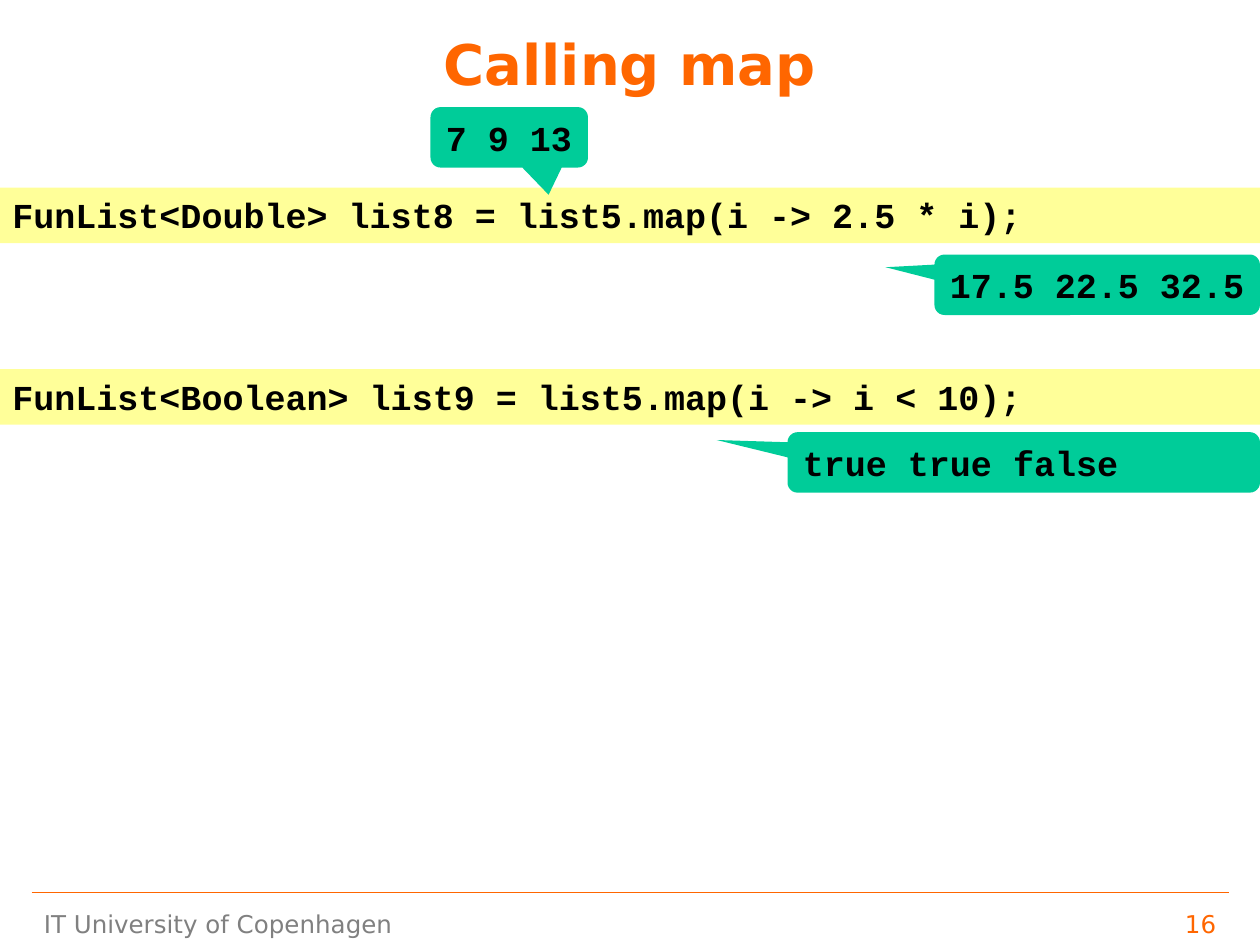
from lxml import etree
from pptx import Presentation
from pptx import util as u
from pptx.dml.color import RGBColor
from pptx.enum import shapes, text
from pptx.oxml.ns import qn

ORANGE = RGBColor(0xFF, 0x66, 0x00)
YELLOW = RGBColor(0xFF, 0xFF, 0x99)
GREEN = RGBColor(0x00, 0xCC, 0x99)
GREY = RGBColor(0x80, 0x80, 0x80)
BLACK = RGBColor(0x00, 0x00, 0x00)

COLUMNS, ROWS = 120, 90


class SlideBuilder:
    """Places elements on a grid of 120 columns by 90 rows."""

    text_font = "DejaVu Sans"
    code_font = "Courier New"
    bar_height = 5.28
    callout_height = 5.76

    def __init__(self, deck):
        self.cell_width = deck.slide_width / COLUMNS
        self.cell_height = deck.slide_height / ROWS
        self.page = deck.slides.add_slide(deck.slide_layouts[5])

    def place(self, column, row, width, height):
        return (round(column * self.cell_width), round(row * self.cell_height),
                round(width * self.cell_width), round(height * self.cell_height))

    def set_words(self, box, words, font, size, color, bold=False,
                  align=text.PP_ALIGN.LEFT, anchor=text.MSO_ANCHOR.TOP):
        frame = box.text_frame
        frame.text = words
        frame.word_wrap = True
        frame.vertical_anchor = anchor
        para = frame.paragraphs[0]
        para.alignment = align
        span = para.runs[0].font
        span.name, span.size, span.bold = font, u.Pt(size), bold
        span.color.rgb = color

    def title(self, words):
        box = self.page.shapes.title
        box.left, box.top, box.width, box.height = self.place(3, 0, 114, 12)
        self.set_words(box, words, self.text_font, 32, ORANGE, True,
                       text.PP_ALIGN.CENTER, text.MSO_ANCHOR.MIDDLE)

    def label(self, words, column, width, color, align=text.PP_ALIGN.LEFT):
        box = self.page.shapes.add_textbox(*self.place(column, 86, width, 4))
        self.set_words(box, words, self.text_font, 14, color, align=align)

    def rule(self, row):
        left, top, width, _ = self.place(3, row, 114, 0)
        line = self.page.shapes.add_connector(
            shapes.MSO_CONNECTOR.STRAIGHT, left, top, left + width, top)
        line.line.color.rgb = ORANGE
        line.line.width = u.Pt(0.75)
        etree.SubElement(line._element.spPr, qn("a:effectLst"))

    def code_shape(self, kind, words, fill, area, anchor):
        box = self.page.shapes.add_shape(kind, *self.place(*area))
        box.shadow.inherit = False
        box.fill.solid()
        box.fill.fore_color.rgb = fill
        box.line.fill.background()
        self.set_words(box, words, self.code_font, 20, BLACK, True, anchor=anchor)
        return box

    def code_bar(self, words, row):
        self.code_shape(shapes.MSO_SHAPE.RECTANGLE, words, YELLOW,
                        (0, row, COLUMNS, self.bar_height), text.MSO_ANCHOR.TOP)

    def callout(self, words, column, row, width, tip):
        box = self.code_shape(
            shapes.MSO_SHAPE.ROUNDED_RECTANGULAR_CALLOUT, words, GREEN,
            (column, row, width, self.callout_height), text.MSO_ANCHOR.MIDDLE)
        box.text_frame.margin_right = 0  # keeps tight values on one line
        box.adjustments[0], box.adjustments[1] = tip


def main():
    deck = Presentation()
    deck.slide_width, deck.slide_height = u.Inches(10), u.Inches(7.5)
    slide = SlideBuilder(deck)

    # Footer and title
    slide.label("IT University of Copenhagen", 3, 36, GREY)
    slide.rule(85)
    slide.title("Calling map")
    slide.label("16", 109, 8, ORANGE, text.PP_ALIGN.RIGHT)

    # Code lines
    slide.code_bar("FunList<Double> list8 = list5.map(i -> 2.5 * i);", 17.88)
    slide.code_bar("FunList<Boolean> list9 = list5.map(i -> i < 10);", 35.16)

    # List values: input, then the result of each call
    slide.callout("7 9 13", 41, 10.2, 15, (0.25, 0.95))
    slide.callout("17.5 22.5 32.5", 89, 24.24, 31, (-0.65, -0.29))
    slide.callout("true true false", 75, 41.16, 45, (-0.65, -0.37))

    deck.save("out.pptx")


if __name__ == "__main__":
    main()
